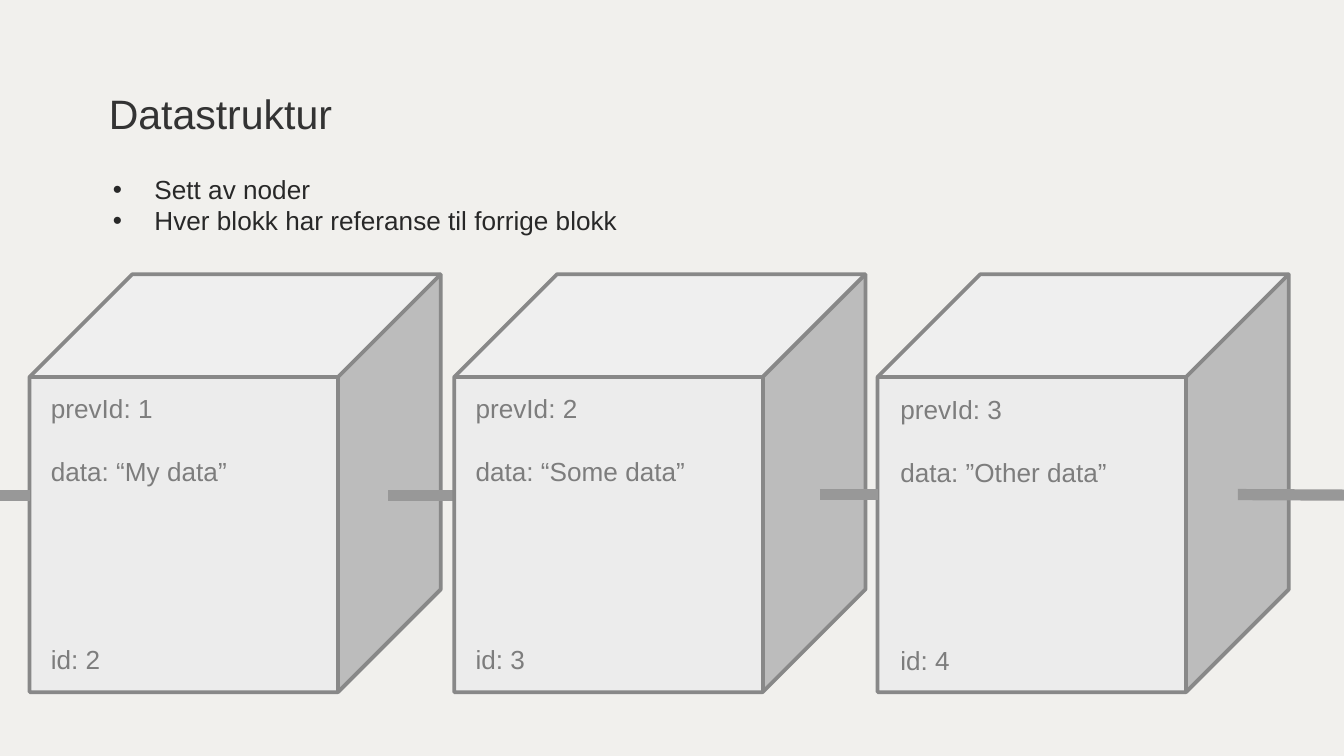
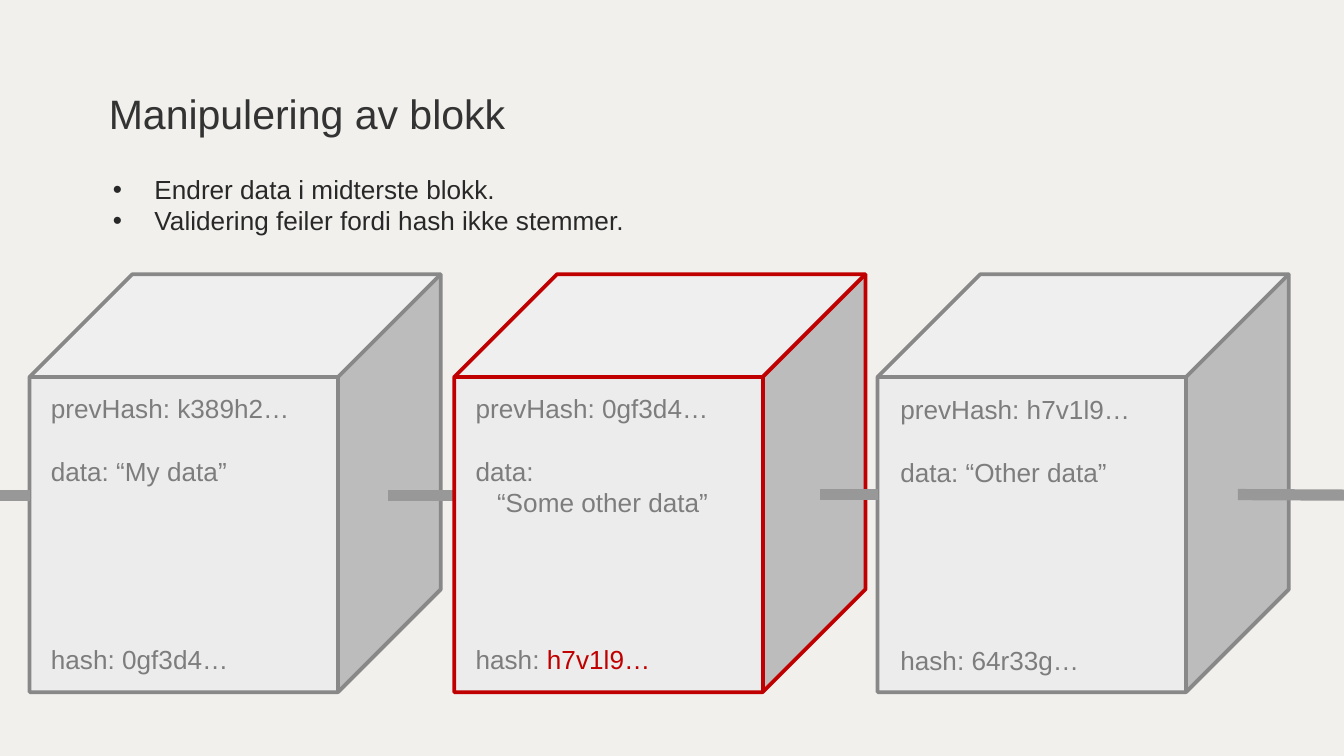
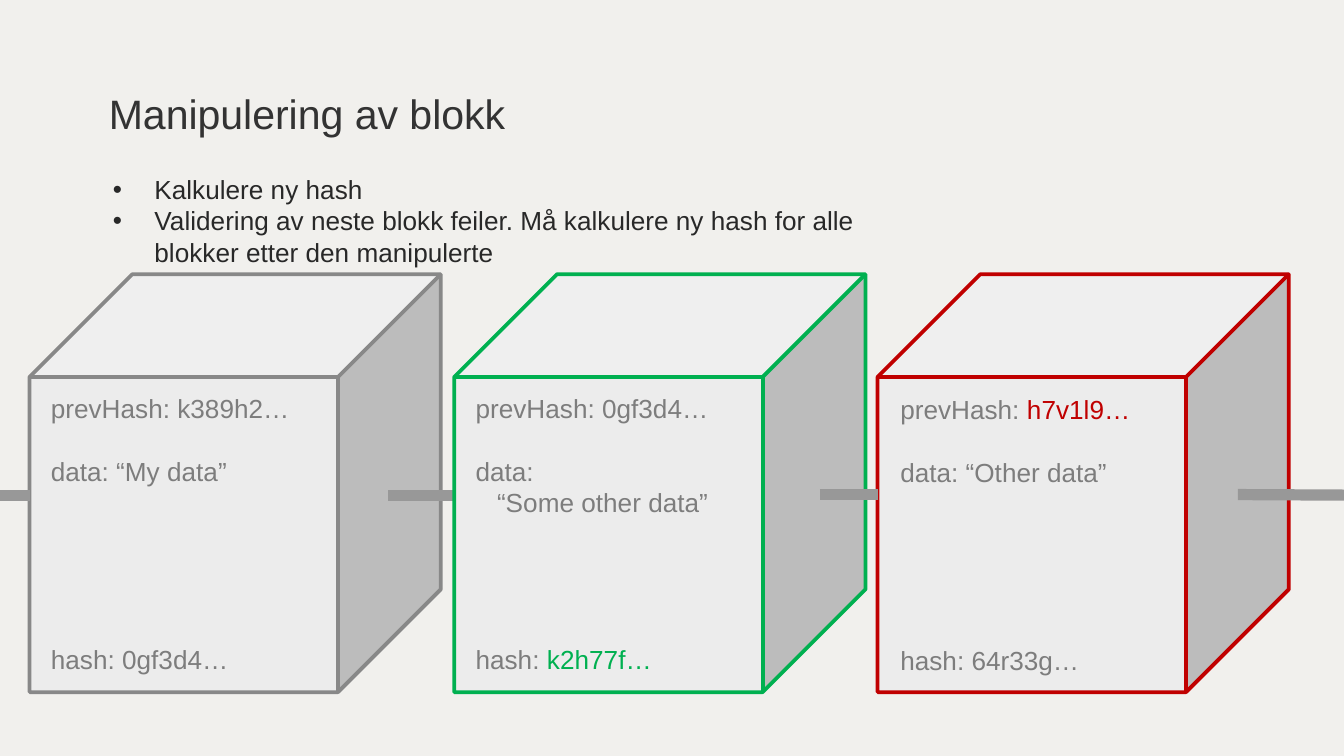
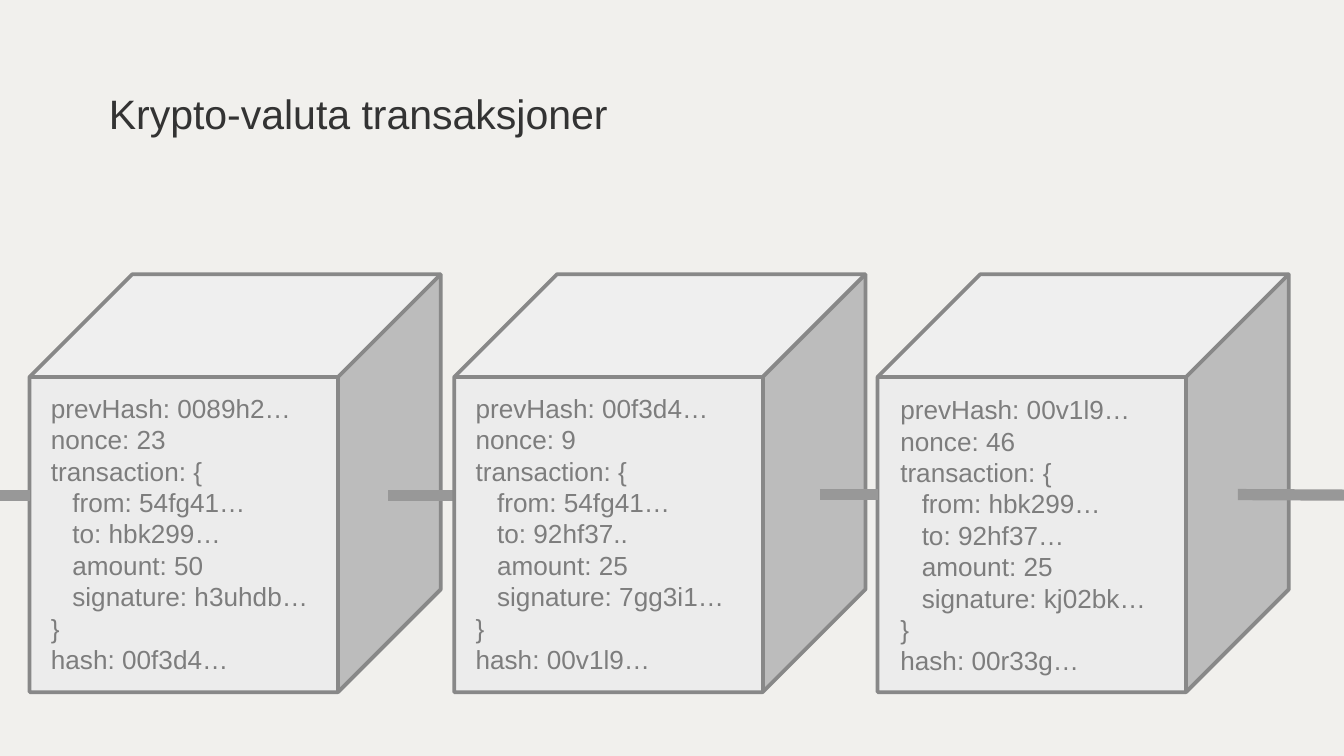
from dataclasses import dataclass

from lxml import etree
from pptx import Presentation
from pptx.dml.color import RGBColor
from pptx.enum import shapes, text
from pptx.oxml.ns import qn
from pptx.util import Inches, Pt

PAPER = RGBColor(0xF1, 0xF0, 0xED)
TITLE = RGBColor(0x33, 0x33, 0x33)
BODY = RGBColor(0x28, 0x28, 0x28)
FACE = RGBColor(0xEC, 0xEC, 0xEC)
EDGE = RGBColor(0x88, 0x88, 0x88)
CHAIN = RGBColor(0x98, 0x98, 0x98)
DATA = RGBColor(0x7D, 0x7D, 0x7D)
RED = RGBColor(0xC0, 0x00, 0x00)
GREEN = RGBColor(0x00, 0xB0, 0x50)

FONT = "Arial"
SIZE = 14
LEAD = 1.2
LAST = 8  # line number of a block's closing row
WIDE = Inches(10)

CUBES = (0.22, 3.38, 6.53)
LABELS = ((0.28, 2.87), (3.44, 2.87), (6.6, 2.88))


@dataclass(frozen=True)
class Row:
    """One row of block data on a given line; mark is a tail in its own colour."""
    line: int
    text: str
    mark: str = ""
    hue: RGBColor = DATA
    inset: float = 0


@dataclass(frozen=True)
class Block:
    rows: list[Row]
    edge: RGBColor = EDGE


@dataclass(frozen=True)
class Link:
    x1: float
    y1: float
    x2: float
    y2: float


@dataclass(frozen=True)
class Page:
    title: str
    points: list[str]
    blocks: list[Block]


LOW = (Link(2.89, 3.69, 3.38, 3.69), Link(-0.18, 3.69, 0.22, 3.69))
HIGH = (Link(6.1, 3.68, 6.53, 3.68), Link(9.21, 3.68, 11.1, 3.69))


def node(prev: int, data: str) -> Block:
    return Block([Row(0, f"prevId: {prev}"), Row(2, f"data: {data}"),
                  Row(LAST, f"id: {prev + 1}")])


def hashed(prev: str, data: str, own: str) -> Block:
    return Block([Row(0, f"prevHash: {prev}"), Row(2, f"data: {data}"),
                  Row(LAST, f"hash: {own}")])


def altered(own: str, hue: RGBColor) -> Block:
    """The middle block after its data has been changed."""
    return Block([Row(0, "prevHash: 0gf3d4…"), Row(2, "data:"),
                  Row(3, "“Some other data”", inset=0.16),
                  Row(LAST, "hash: ", own, hue)], hue)


def trade(prev: str, nonce: int, source: str, to: str, amount: int,
          sign: str, own: str) -> Block:
    fields = [f"from: {source}", f"to: {to}", f"amount: {amount}",
              f"signature: {sign}"]
    head = [f"prevHash: {prev}", f"nonce: {nonce}", "transaction: {"]
    rows = [Row(i, line) for i, line in enumerate(head)]
    rows += [Row(i, line, inset=0.16) for i, line in enumerate(fields, len(head))]
    return Block(rows + [Row(LAST - 1, "}"), Row(LAST, f"hash: {own}")])


FIRST = hashed("k389h2…", "“My data”", "0gf3d4…")
BROKEN = Block([Row(0, "prevHash: ", "h7v1l9…", RED),
                Row(2, "data: “Other data”"), Row(LAST, "hash: 64r33g…")], RED)

PAGES = [
    Page("Datastruktur",
         ["Sett av noder", "Hver blokk har referanse til forrige blokk"],
         [node(1, "“My data”"), node(2, "“Some data”"), node(3, "”Other data”")]),
    Page("Manipulering av blokk",
         ["Endrer data i midterste blokk.",
          "Validering feiler fordi hash ikke stemmer."],
         [FIRST, altered("h7v1l9…", RED),
          hashed("h7v1l9…", "“Other data”", "64r33g…")]),
    Page("Manipulering av blokk",
         ["Kalkulere ny hash",
          "Validering av neste blokk feiler. Må kalkulere ny hash for alle "
          "blokker etter den manipulerte"],
         [FIRST, altered("k2h77f…", GREEN), BROKEN]),
    Page("Krypto-valuta transaksjoner", [],
         [trade("0089h2…", 23, "54fg41…", "hbk299…", 50, "h3uhdb…", "00f3d4…"),
          trade("00f3d4…", 9, "54fg41…", "92hf37..", 25, "7gg3i1…", "00v1l9…"),
          trade("00v1l9…", 46, "hbk299…", "92hf37…", 25, "kj02bk…", "00r33g…")]),
]


def style(para, hue: RGBColor, size: int = SIZE) -> None:
    para.line_spacing = Pt(size * LEAD)
    para.alignment = text.PP_ALIGN.LEFT
    for run in para.runs:
        run.font.name = FONT
        run.font.size = Pt(size)
        run.font.color.rgb = hue


def frame(shape, pad: float):
    """Prepare a wrapped, top-anchored text frame with even padding."""
    body = shape.text_frame
    body.word_wrap = True
    body.auto_size = text.MSO_AUTO_SIZE.NONE
    body.vertical_anchor = text.MSO_ANCHOR.TOP
    body.margin_left = body.margin_right = Inches(pad)
    body.margin_top = body.margin_bottom = Inches(pad)
    return body


def head(slide, words: str) -> None:
    title = slide.shapes.title
    title.left, title.top = Inches(0.81), Inches(0.66)
    title.width, title.height = Inches(5.72), Inches(0.45)
    body = frame(title, 0)
    body.text = words
    style(body.paragraphs[0], TITLE, 22)


def bullets(slide, points: list[str]) -> None:
    box = slide.shapes.add_textbox(Inches(0.81), Inches(1.26),
                                   Inches(5.97), Inches(1.71))
    body = frame(box, 0.03)
    body.text = "\n".join(points)
    for para in body.paragraphs:
        style(para, BODY)
        props = para._p.get_or_add_pPr()
        props.set("marL", str(Inches(0.31)))
        props.set("indent", str(Inches(-0.31)))
        tint = etree.SubElement(props, qn("a:buClr"))
        etree.SubElement(tint, qn("a:srgbClr")).set("val", str(BODY))
        etree.SubElement(props, qn("a:buFont")).set("typeface", FONT)
        etree.SubElement(props, qn("a:buChar")).set("char", "•")


def cube(slide, left: float, edge: RGBColor) -> None:
    box = slide.shapes.add_shape(shapes.MSO_SHAPE.CUBE, Inches(left),
                                 Inches(2.04), Inches(3.06), Inches(3.11))
    box.shadow.inherit = False
    box.fill.solid()
    box.fill.fore_color.rgb = FACE
    box.line.color.rgb = edge
    box.line.width = Pt(2)


def join(slide, link: Link) -> None:
    line = slide.shapes.add_connector(
        shapes.MSO_CONNECTOR.STRAIGHT, Inches(link.x1), Inches(link.y1),
        Inches(link.x2), Inches(link.y2))
    line.line.color.rgb = CHAIN
    line.line.width = Pt(6)
    etree.SubElement(line._element.spPr, qn("a:effectLst"))


def label(slide, left: float, top: float, rows: list[Row]) -> None:
    box = slide.shapes.add_textbox(Inches(left), Inches(top),
                                   Inches(2.15), Inches(2.22))
    body = frame(box, 0.05)
    body.margin_left = body.margin_right = Inches(0.1)
    body.text = "\n".join(row.text for row in rows)
    line = -1
    for para, row in zip(body.paragraphs, rows):
        if row.mark:
            para.add_run().text = row.mark
        style(para, DATA)
        if row.mark:
            para.runs[-1].font.color.rgb = row.hue
        if row.inset:
            para._p.get_or_add_pPr().set("marL", str(Inches(row.inset)))
        para.space_before = Pt((row.line - line - 1) * SIZE * LEAD)
        line = row.line


def draw(slide, page: Page) -> None:
    head(slide, page.title)
    if page.points:
        bullets(slide, page.points)
    for i, (left, block) in enumerate(zip(CUBES, page.blocks)):
        cube(slide, left, block.edge)
        if i == 0:
            for link in LOW:
                join(slide, link)
    for link in HIGH:
        join(slide, link)
    for (left, top), block in zip(LABELS, page.blocks):
        label(slide, left, top, block.rows)


def main() -> None:
    deck = Presentation()
    deck.slide_width, deck.slide_height = WIDE, WIDE * 9 // 16
    back = deck.slide_master.background.fill
    back.solid()
    back.fore_color.rgb = PAPER
    layout = deck.slide_layouts.get_by_name("Title Only")
    for page in PAGES:
        draw(deck.slides.add_slide(layout), page)
    deck.save("out.pptx")


if __name__ == "__main__":
    main()
